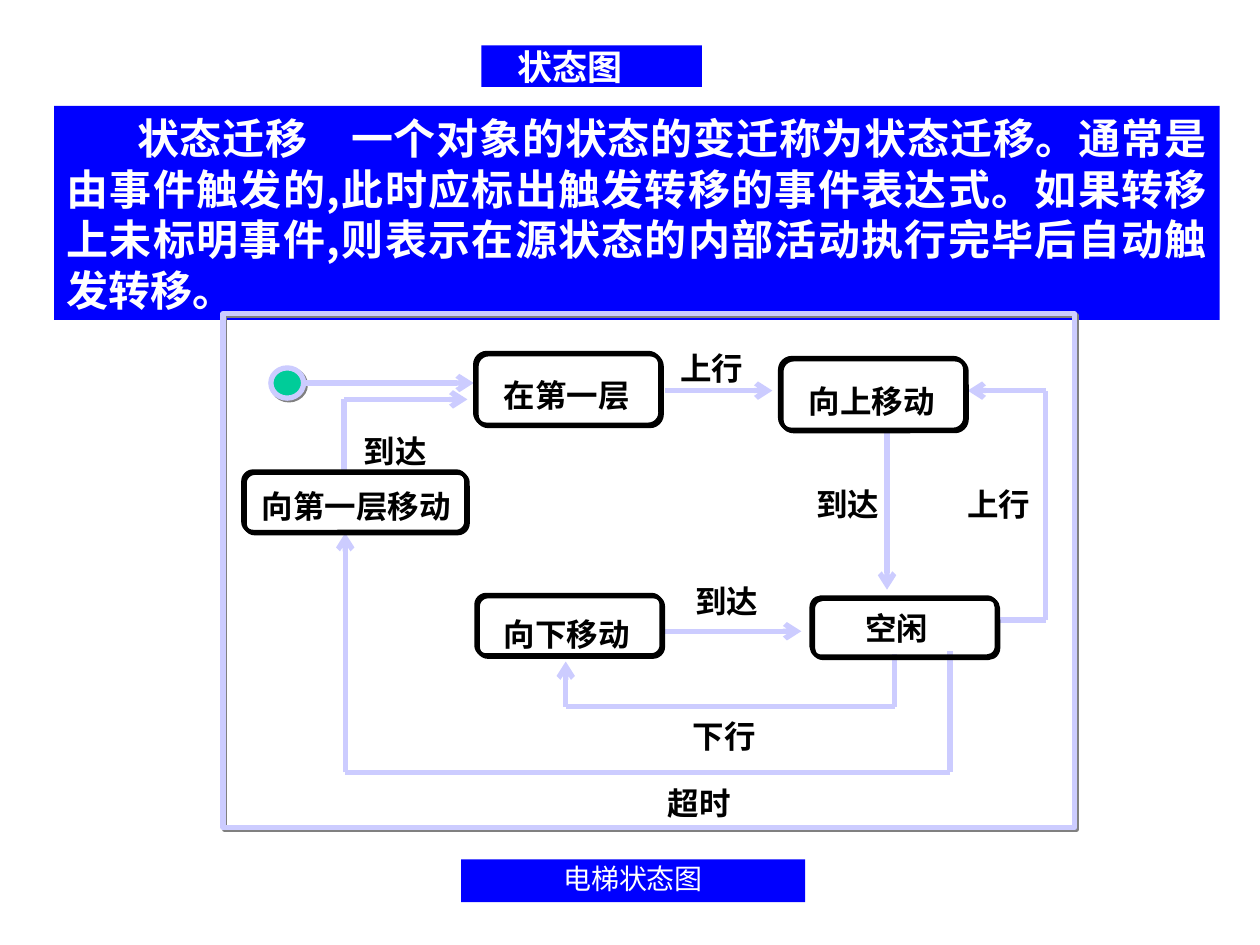
"""Build the elevator state diagram slide."""
from itertools import pairwise

from lxml import etree
from pptx import Presentation
from pptx import util as u
from pptx.dml.color import RGBColor
from pptx.enum import shapes, text
from pptx.oxml.ns import qn

COLORS = {"banner": "0000FF", "light": "FFFFFF", "line": "CCCCFF",
          "start": "00CC99", "ink": "000000", "shade": "808080"}
CJK, SERIF = "Noto Sans CJK SC", "Times New Roman"

STATES = [
    ("在第一层", (3.77, 2.8, 1.47, 0.57), (3.9, 2.9)),
    ("向上移动", (6.19, 2.84, 1.47, 0.57), (6.32, 2.95)),
    ("空闲", (6.44, 4.74, 1.47, 0.47), (6.77, 4.75)),
    ("向第一层移动", (1.93, 3.74, 1.77, 0.48), (1.98, 3.78)),
    ("向下移动", (3.78, 4.72, 1.47, 0.48), (3.9, 4.8)),
]
EVENTS = [
    ("上行", (5.3, 2.69)), ("到达", (6.38, 3.77)), ("上行", (7.58, 3.77)),
    ("到达", (5.42, 4.54)), ("下行", (5.4, 5.61)), ("超时", (5.2, 6.14)),
    ("到达", (2.79, 3.35)),
]
ROUTES = [
    [(2.41, 3.04), (3.76, 3.04)],
    [(5.28, 3.1), (6.13, 3.1)],
    [(7.04, 3.4), (7.04, 4.68)],
    [(5.24, 5.01), (6.36, 5.01)],
    [(7.93, 4.92), (8.3, 4.92), (8.3, 3.1), (7.68, 3.1)],
    [(7.1, 5.19), (7.1, 5.61), (4.49, 5.61), (4.49, 5.25)],
    [(7.54, 5.17), (7.54, 6.13), (2.74, 6.13), (2.74, 4.23)],
    [(2.73, 3.76), (2.73, 3.17), (3.71, 3.17)],
]


def rgb(name):
    """Look up a named colour."""
    return RGBColor.from_string(COLORS[name])


def add_shadow(effects, color):
    """Put a hard shadow at lower right into an effect list."""
    shadow = etree.SubElement(effects, qn("a:outerShdw"), blurRad="0",
                              dist=str(u.Pt(1.4)), dir="2700000", algn="ctr", rotWithShape="0")
    etree.SubElement(shadow, qn("a:srgbClr"), val=COLORS[color])


def add_run(p, words, size, color, bold=True, font=CJK):
    """Add one run with its Latin and East Asian fonts."""
    r = p.add_run()
    r.text = words
    r.font.size, r.font.bold, r.font.name = u.Pt(size), bold, font
    r.font.color.rgb = rgb(color)
    etree.SubElement(r.font._element, qn("a:ea"), typeface=CJK)
    return r


def add_box(container, kind, box, fill=None, line=None, width=3, shadow=None):
    """Add a preset shape with optional fill, outline and shadow."""
    sp = container.add_shape(kind, *map(u.Inches, box))
    sp.shadow.inherit = False
    if fill:
        sp.fill.solid()
        sp.fill.fore_color.rgb = rgb(fill)
    else:
        sp.fill.background()
    if line:
        sp.line.color.rgb = rgb(line)
        sp.line.width = u.Pt(width)
    else:
        sp.line.fill.background()
    if shadow:
        add_shadow(sp._element.spPr.find(qn("a:effectLst")), shadow)
    return sp


def add_banner(container, box, align, anchor=text.MSO_ANCHOR.TOP):
    """Add a blue banner and return its empty paragraph."""
    sp = add_box(container, shapes.MSO_SHAPE.RECTANGLE, box, fill="banner")
    tf = sp.text_frame
    tf.word_wrap, tf.vertical_anchor = True, anchor
    p = tf.paragraphs[0]
    p.alignment = align
    return p


def add_label(container, words, at):
    """Add a shadowed label sized to its characters."""
    size = (0.2 + 0.25 * len(words), 0.4)
    tf = container.add_textbox(*map(u.Inches, at + size)).text_frame
    tf.word_wrap = False
    p = tf.paragraphs[0]
    p.line_spacing = u.Pt(24)
    r = add_run(p, words, 18, "ink", font=SERIF)
    effects = etree.Element(qn("a:effectLst"))
    r.font._element.find(qn("a:solidFill")).addnext(effects)
    add_shadow(effects, "shade")


def add_route(container, points):
    """Draw straight segments through the points, with an arrow at the end."""
    for start, end in pairwise(points):
        c = container.add_connector(shapes.MSO_CONNECTOR.STRAIGHT,
                                    *map(u.Inches, start + end))
        c.line.color.rgb = rgb("line")
        c.line.width = u.Pt(3)
        etree.SubElement(c._element.spPr, qn("a:effectLst"))
    etree.SubElement(c.line._get_or_add_ln(), qn("a:tailEnd"), type="arrow")


def add_diagram(container):
    """Draw the frame, start node, transitions and states."""
    add_box(container, shapes.MSO_SHAPE.RECTANGLE, (1.77, 2.49, 6.76, 4.08),
            line="line", shadow="shade")
    add_box(container, shapes.MSO_SHAPE.OVAL, (2.15, 2.92, 0.26, 0.24),
            fill="start", line="line", shadow="shade")
    for points in ROUTES:
        add_route(container, points)
    for words, at in EVENTS:
        add_label(container, words, at)
    for words, box, at in STATES:
        add_label(container, words, at)
        add_box(container, shapes.MSO_SHAPE.ROUNDED_RECTANGLE, box,
                line="ink", width=2.25, shadow="ink")


def main():
    """Build and save the slide."""
    prs = Presentation()
    prs.slide_width, prs.slide_height = u.Inches(10), u.Inches(7.5)
    s = prs.slides.add_slide(prs.slide_layouts[6])

    p = add_banner(s.shapes, (3.82, 0.36, 1.75, 0.33), text.PP_ALIGN.LEFT,
                   text.MSO_ANCHOR.MIDDLE)
    p._p.get_or_add_pPr().set("marL", str(u.Inches(0.19)))
    add_run(p, "状态图", 20, "light")

    p = add_banner(s.shapes, (0.43, 0.84, 9.25, 1.7), text.PP_ALIGN.JUSTIFY)
    p._p.get_or_add_pPr().set("indent", str(u.Inches(0.56)))
    p.line_spacing = u.Pt(29)
    add_run(p, "状态", 24, "light", font=SERIF)
    add_run(p, "迁移　一个对象的状态的变迁称为状态迁移。通常是由事件触发的,"
               "此时应标出触发转移的事件表达式。如果转移上未标明事件,"
               "则表示在源状态的内部活动执行完毕后自动触发转移。", 24, "light")

    p = add_banner(s.shapes, (3.66, 6.82, 2.73, 0.34), text.PP_ALIGN.CENTER)
    p.line_spacing = 0.9
    add_run(p, "电梯状态图", 16, "light", bold=False)

    add_diagram(s.shapes.add_group_shape().shapes)
    prs.save("out.pptx")


if __name__ == "__main__":
    main()
